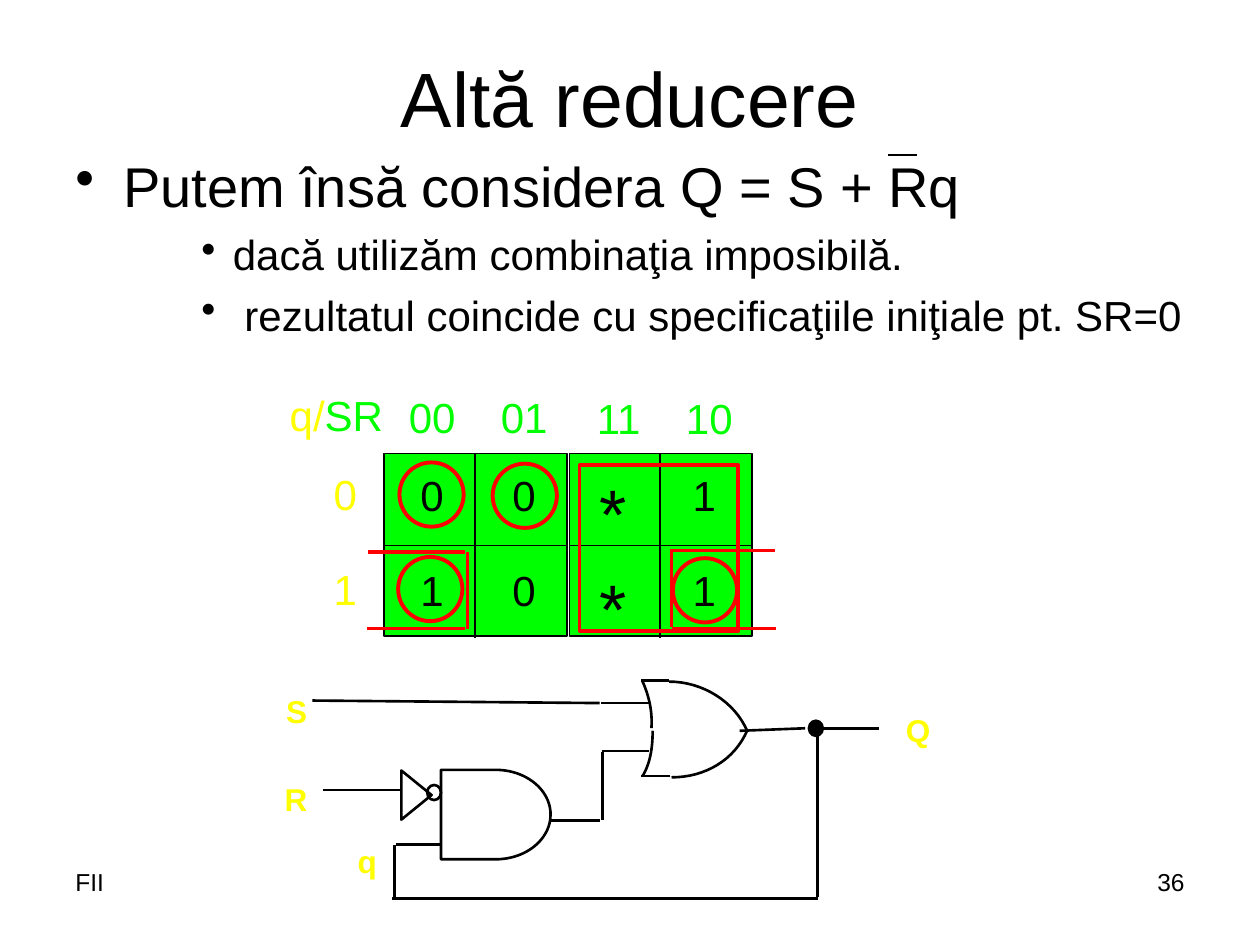
"""Builds the slide with a Karnaugh map and the logic circuit reduced from it."""
from dataclasses import dataclass

import lxml.etree
import pptx
import pptx.dml.color
import pptx.enum.shapes
import pptx.enum.text
import pptx.oxml.ns
import pptx.util

PX = 9144
COLORS = {"black": "000000", "green": "00FF00", "red": "FF0000", "yellow": "FFFF00"}
SHAPE = pptx.enum.shapes.MSO_SHAPE
ALIGN = pptx.enum.text.PP_ALIGN
ANCHOR = pptx.enum.text.MSO_ANCHOR


@dataclass
class Label:
    text: str
    left: int
    top: int
    width: int = 64
    height: int = 50
    size: int = 24
    color: str = "black"
    bold: bool = False
    align: ALIGN = ALIGN.CENTER
    anchor: ANCHOR = ANCHOR.TOP
    wrap: bool = True


@dataclass
class Figure:
    kind: SHAPE
    left: int
    top: int
    width: int
    height: int
    line: str = "black"
    weight: float = 1.5
    fill: str = ""
    rotation: int = 0


@dataclass
class Wire:
    x1: int
    y1: int
    x2: int
    y2: int
    color: str = "black"
    weight: float = 1.5


@dataclass
class Bullet:
    text: str
    size: int
    level: int
    margin: int
    hanging: int
    before: int


Point = tuple[int, int]


def rgb(name: str) -> pptx.dml.color.RGBColor:
    return pptx.dml.color.RGBColor.from_string(COLORS[name])


def style_run(run, size: int, color: str, bold: bool = False) -> None:
    run.font.name = "Arial"
    run.font.size = pptx.util.Pt(size)
    run.font.bold = bold
    run.font.color.rgb = rgb(color)


def style_line(line, color: str, weight: float) -> None:
    line.color.rgb = rgb(color)
    line.width = pptx.util.Pt(weight)


def add_label(slide, label: Label):
    box = slide.shapes.add_textbox(label.left * PX, label.top * PX, label.width * PX, label.height * PX)
    text_frame = box.text_frame
    text_frame.word_wrap = label.wrap
    text_frame.vertical_anchor = label.anchor
    text_frame.text = label.text
    paragraph = text_frame.paragraphs[0]
    paragraph.alignment = label.align
    style_run(paragraph.runs[0], label.size, label.color, label.bold)
    return paragraph


def add_figure(slide, figure: Figure) -> None:
    shape = slide.shapes.add_shape(
        figure.kind, figure.left * PX, figure.top * PX, figure.width * PX, figure.height * PX)
    shape.shadow.inherit = False
    shape.rotation = figure.rotation
    style_line(shape.line, figure.line, figure.weight)
    if figure.fill:
        shape.fill.solid()
        shape.fill.fore_color.rgb = rgb(figure.fill)
    else:
        shape.fill.background()


def add_wire(slide, wire: Wire) -> None:
    connector = slide.shapes.add_connector(
        pptx.enum.shapes.MSO_CONNECTOR.STRAIGHT, wire.x1 * PX, wire.y1 * PX, wire.x2 * PX, wire.y2 * PX)
    style_line(connector.line, wire.color, wire.weight)
    lxml.etree.SubElement(connector._element.spPr, pptx.oxml.ns.qn("a:effectLst"))


def add_curve(slide, controls: list[Point], steps: int = 16) -> None:
    points = []
    for step in range(steps + 1):
        t = step / steps
        weights = ((1 - t) ** 3, 3 * t * (1 - t) ** 2, 3 * t * t * (1 - t), t ** 3)
        points.append(tuple(PX * sum(w * point[axis] for w, point in zip(weights, controls)) for axis in (0, 1)))
    builder = slide.shapes.build_freeform(*points[0], scale=1.0)
    builder.add_line_segments(points[1:], close=False)
    shape = builder.convert_to_shape()
    shape.shadow.inherit = False
    shape.fill.background()
    style_line(shape.line, "black", 1.5)


def add_bullets(slide, bullets: list[Bullet]) -> None:
    text_frame = slide.shapes.add_textbox(50 * PX, 115 * PX, 900 * PX, 555 * PX).text_frame
    text_frame.word_wrap = True
    text_frame.text = "\n".join(bullet.text for bullet in bullets)
    for paragraph, bullet in zip(text_frame.paragraphs, bullets):
        paragraph.level = bullet.level
        properties = paragraph._p.get_or_add_pPr()
        properties.set("marL", str(bullet.margin * PX))
        properties.set("indent", str(-bullet.hanging * PX))
        lxml.etree.SubElement(properties, pptx.oxml.ns.qn("a:buChar")).set("char", "•")
        paragraph.space_before = pptx.util.Pt(bullet.before)
        style_run(paragraph.runs[0], bullet.size, "black")


def add_karnaugh_map(slide) -> None:
    for left in (305, 452):
        add_figure(slide, Figure(SHAPE.RECTANGLE, left, 360, 145, 145, weight=1, fill="green"))
        add_wire(slide, Wire(left + 72, 360, left + 72, 506, weight=1))
        add_wire(slide, Wire(left, 433, left + 145, 433, weight=1))
    for left, top in ((317, 367), (391, 368), (316, 442), (534, 443)):
        add_figure(slide, Figure(SHAPE.OVAL, left, top, 51, 51, "red", 2.25))

    corner = add_label(slide, Label("q/", 184, 304, width=166, color="yellow"))
    inputs = corner.add_run()
    inputs.text = "SR"
    style_run(inputs, 24, "green")
    for text, left, top in (("00", 311, 306), ("01", 384, 306), ("11", 459, 307), ("10", 531, 307)):
        add_label(slide, Label(text, left, top, color="green"))
    for state, top, values in (("0", 368, "00*1"), ("1", 443, "10*1")):
        add_label(slide, Label(state, 242, top - 1, color="yellow"))
        for left, value in zip((311, 384, 455, 527), values):
            size, height = (40, 76) if value == "*" else (24, 50)
            add_label(slide, Label(value, left, top, height=height, size=size))

    for ends in ((292, 438, 369, 438), (291, 499, 369, 499), (371, 438, 371, 499),
                 (615, 437, 532, 437), (616, 499, 533, 499), (533, 437, 533, 498)):
        add_wire(slide, Wire(*ends, "red", 2))
    add_figure(slide, Figure(SHAPE.RECTANGLE, 460, 369, 126, 132, "red", 2))


def add_circuit(slide) -> None:
    for text, left, top, width in (("Q", 709, 559, 39), ("S", 217, 544, 37), ("R", 216, 614, 38), ("q", 274, 663, 35)):
        add_label(slide, Label(text, left, top, width, 40, 18, "yellow", True, wrap=False))
    for controls in ([(531, 541), (558, 541), (583, 557), (593, 580)],
                     [(593, 580), (583, 603), (560, 617), (533, 617)],
                     [(510, 541), (515, 552), (518, 565), (517, 578)],
                     [(518, 580), (518, 594), (516, 606), (510, 616)]):
        add_curve(slide, controls)
    for ends in ((248, 556, 476, 558), (531, 540, 509, 540), (532, 616, 509, 616),
                 (477, 558, 515, 558), (478, 596, 515, 596), (587, 580, 639, 578),
                 (641, 578, 698, 578), (314, 670, 351, 670), (437, 651, 476, 651),
                 (256, 627, 319, 627), (478, 597, 478, 651), (649, 579, 649, 712),
                 (649, 713, 311, 713), (313, 671, 313, 712)):
        add_wire(slide, Wire(*ends))
    add_figure(slide, Figure(SHAPE.OVAL, 642, 572, 11, 12, fill="black"))
    add_figure(slide, Figure(SHAPE.FLOWCHART_DELAY, 350, 611, 87, 71))
    add_figure(slide, Figure(SHAPE.OVAL, 339, 623, 11, 12))
    add_figure(slide, Figure(SHAPE.FLOWCHART_EXTRACT, 311, 619, 39, 24, rotation=90))


def main() -> None:
    presentation = pptx.Presentation()
    presentation.slide_width, presentation.slide_height = 1000 * PX, 750 * PX
    slide = presentation.slides.add_slide(presentation.slide_layouts[6])
    add_label(slide, Label("Altă reducere", 50, 30, 900, 93, 44, anchor=ANCHOR.MIDDLE))
    add_bullets(slide, [
        Bullet("Putem însă considera Q = S + Rq", 32, 0, 38, 38, 0),
        Bullet("dacă utilizăm combinaţia imposibilă.", 24, 2, 125, 25, 6),
        Bullet(" rezultatul coincide cu specificaţiile iniţiale pt. SR=0", 24, 2, 125, 25, 6),
    ])
    add_wire(slide, Wire(705, 123, 728, 123, weight=0.75))
    add_karnaugh_map(slide)
    add_circuit(slide)
    add_label(slide, Label("36", 717, 683, 233, 52, 14, align=ALIGN.RIGHT))
    add_label(slide, Label("FII", 50, 683, 233, 52, 14, align=ALIGN.LEFT))
    presentation.save("out.pptx")


if __name__ == "__main__":
    main()
